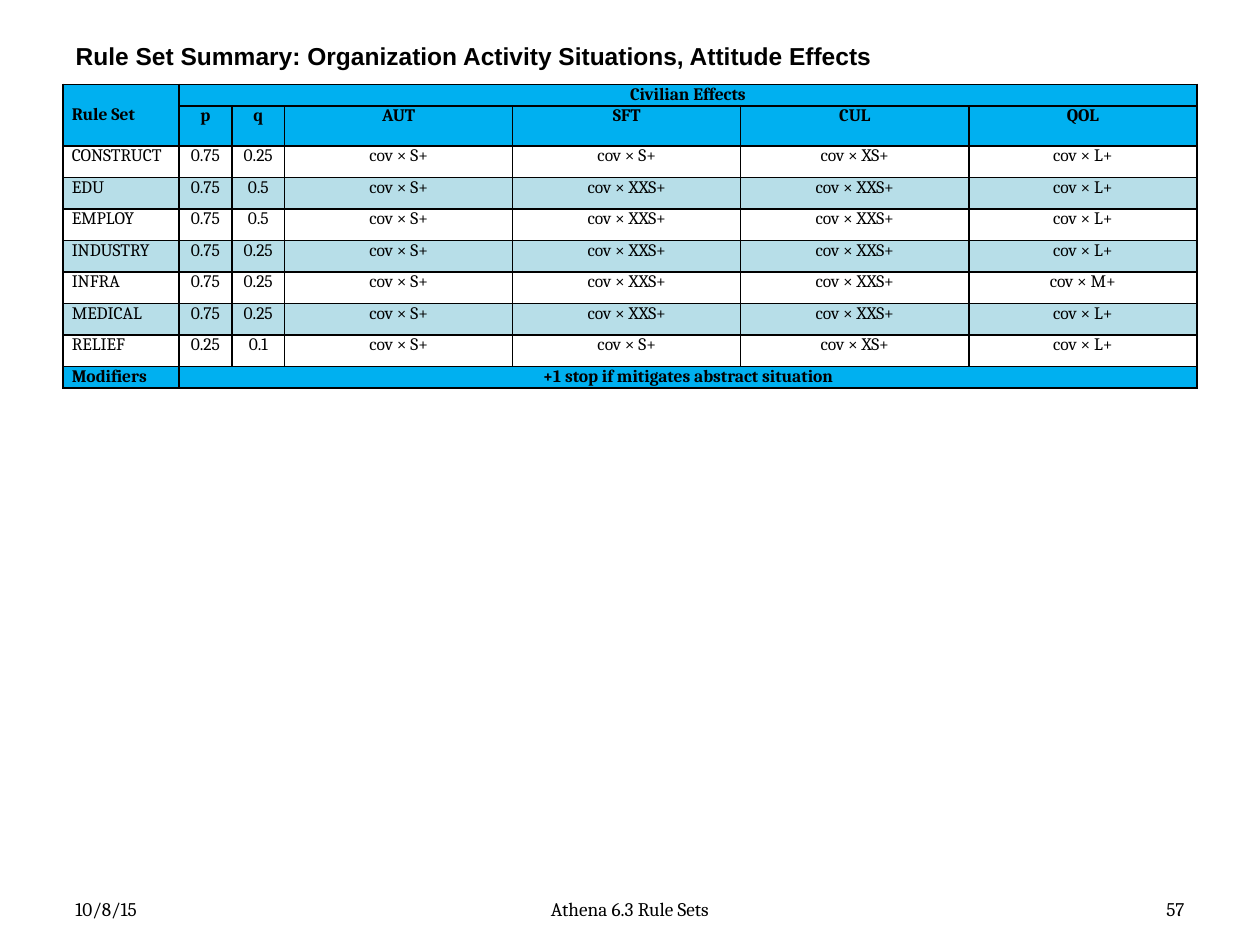
import pptx
import pptx.dml.color
import pptx.enum.text
import pptx.oxml
import pptx.oxml.ns
import pptx.util

Inches = pptx.util.Inches
Pt = pptx.util.Pt
ALIGN = pptx.enum.text.PP_ALIGN
ANCHOR = pptx.enum.text.MSO_ANCHOR

COLORS = {"text": "000000", "border": "000000", "header": "00B0F0", "band": "B7DEE8"}
TITLE_FONT = {"name": "Arial", "size": Pt(14), "bold": True}
FOOTER_FONT = {"name": "Cambria", "size": Pt(11), "bold": False}
BODY_FONT = {"name": "Cambria", "size": Pt(10), "bold": False}
HEADER_FONT = {**BODY_FONT, "bold": True}
FRAME_FORMAT = {"word_wrap": True, "vertical_anchor": ANCHOR.MIDDLE,
                "margin_top": 0, "margin_bottom": 0}
CELL_MARGINS = {"margin_left": Inches(0.07), "margin_right": Inches(0.07),
                "margin_top": 0, "margin_bottom": 0}

COLUMN_WIDTHS = [0.92] + [0.42] * 2 + [1.81] * 4
ROW_HEIGHTS = [0.17, 0.32] + [0.25] * 7 + [0.17]
EFFECTS = ["p", "q", "AUT", "SFT", "CUL", "QOL"]
RULE_SETS = [
    ("CONSTRUCT", "0.75", "0.25", "S+", "S+", "XS+", "L+"),
    ("EDU", "0.75", "0.5", "S+", "XXS+", "XXS+", "L+"),
    ("EMPLOY", "0.75", "0.5", "S+", "XXS+", "XXS+", "L+"),
    ("INDUSTRY", "0.75", "0.25", "S+", "XXS+", "XXS+", "L+"),
    ("INFRA", "0.75", "0.25", "S+", "XXS+", "XXS+", "M+"),
    ("MEDICAL", "0.75", "0.25", "S+", "XXS+", "XXS+", "L+"),
    ("RELIEF", "0.25", "0.1", "S+", "S+", "XS+", "L+"),
]


def apply_format(target, values):
    for name, value in values.items():
        setattr(target, name, value)


def rgb(name):
    return pptx.dml.color.RGBColor.from_string(COLORS[name])


def write(frame, words, font, align):
    paragraph = frame.paragraphs[0]
    paragraph.alignment = align
    run = paragraph.add_run()
    run.text = words
    apply_format(run.font, font)
    run.font.color.rgb = rgb("text")


def add_title(slide, left, top, width, height):
    title = slide.shapes.title
    apply_format(title, {"left": Inches(left), "top": Inches(top),
                         "width": Inches(width), "height": Inches(height)})
    apply_format(title.text_frame, FRAME_FORMAT)
    write(title.text_frame, "Rule Set Summary: Organization Activity Situations, Attitude Effects",
          TITLE_FONT, ALIGN.LEFT)


def add_footer(slide, left, top, width, height):
    side = 2.33
    parts = [
        ("10/8/15", left, side, ALIGN.LEFT),
        ("Athena 6.3 Rule Sets", left + (width - 3.17) / 2, 3.17, ALIGN.CENTER),
        ("57", left + width - side, side, ALIGN.RIGHT),
    ]
    for words, part_left, part_width, align in parts:
        part = slide.shapes.add_textbox(Inches(part_left), Inches(top),
                                        Inches(part_width), Inches(height))
        apply_format(part.text_frame, FRAME_FORMAT)
        write(part.text_frame, words, FOOTER_FONT, align)


def add_borders(cell):
    properties = cell._tc.get_or_add_tcPr()
    for position, side in enumerate(("lnL", "lnR", "lnT", "lnB")):
        properties.insert(position, pptx.oxml.parse_xml(
            f'<a:{side} {pptx.oxml.ns.nsdecls("a")} w="{Pt(1)}"><a:solidFill>'
            f'<a:srgbClr val="{COLORS["border"]}"/></a:solidFill></a:{side}>'))


def style_cell(cell, fill):
    apply_format(cell, CELL_MARGINS)
    if fill:
        cell.fill.solid()
        cell.fill.fore_color.rgb = rgb(fill)
    else:
        cell.fill.background()
    add_borders(cell)


def add_rule_sets(slide, left, top, width, height):
    rows = [["Rule Set", "Civilian Effects"], [""] + EFFECTS]
    rows += [[name, p, q] + [f"cov × {size}" for size in sizes]
             for name, p, q, *sizes in RULE_SETS]
    rows.append(["Modifiers", "+1 stop if mitigates abstract situation"])
    last = len(rows) - 1

    table = slide.shapes.add_table(len(rows), len(COLUMN_WIDTHS), Inches(left), Inches(top),
                                   Inches(width), Inches(height)).table
    apply_format(table, {"first_row": False, "horz_banding": False})
    for column, column_width in zip(table.columns, COLUMN_WIDTHS):
        column.width = Inches(column_width)
    for row, row_height in zip(table.rows, ROW_HEIGHTS):
        row.height = Inches(row_height)

    for r, row in enumerate(rows):
        is_header = r < 2 or r == last
        fill = "header" if is_header else "band" if r % 2 else None
        for c in range(len(COLUMN_WIDTHS)):
            cell = table.cell(r, c)
            style_cell(cell, fill)
            words = row[c] if c < len(row) else ""
            font = HEADER_FONT if is_header else BODY_FONT
            if words:
                write(cell.text_frame, words, font, ALIGN.CENTER if c else ALIGN.LEFT)
            else:
                apply_format(cell.text_frame.paragraphs[0].font, font)

    table.cell(0, 0).merge(table.cell(1, 0))
    table.cell(0, 0).vertical_anchor = ANCHOR.MIDDLE
    for r in (0, last):
        table.cell(r, 1).merge(table.cell(r, len(COLUMN_WIDTHS) - 1))


def main():
    deck = pptx.Presentation()
    apply_format(deck, {"slide_width": Inches(10), "slide_height": Inches(7.5)})
    slide = deck.slides.add_slide(deck.slide_layouts[5])
    add_title(slide, 0.5, 0.3, 9, 0.28)
    add_footer(slide, 0.5, 7.08, 9, 0.27)
    add_rule_sets(slide, 0.5, 0.67, sum(COLUMN_WIDTHS), sum(ROW_HEIGHTS))
    deck.save("out.pptx")


if __name__ == "__main__":
    main()
